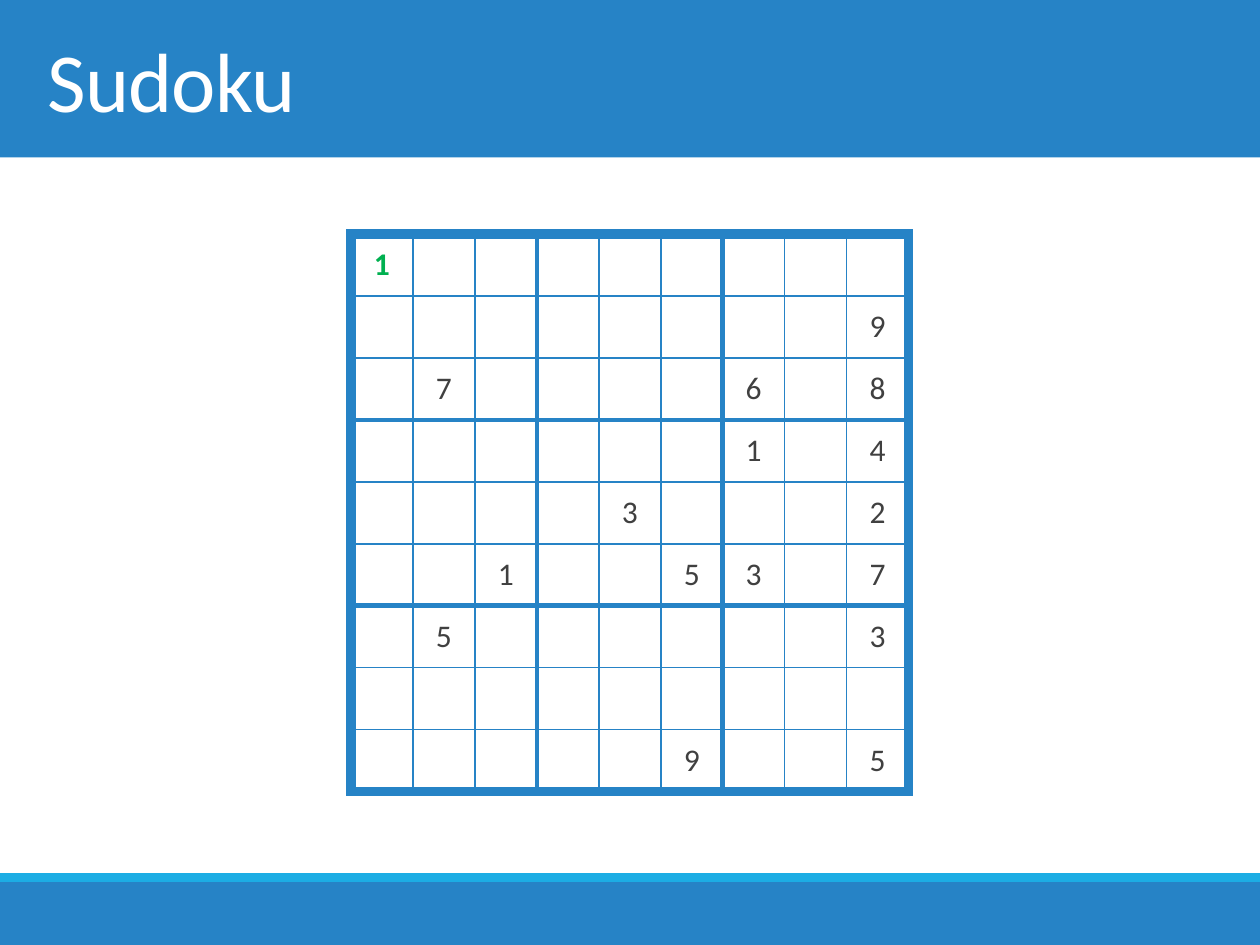
from dataclasses import dataclass

from lxml.etree import SubElement
from pptx import Presentation
from pptx.dml.color import RGBColor
from pptx.enum.shapes import MSO_SHAPE as Shape
from pptx.enum.text import MSO_ANCHOR as Anchor, PP_ALIGN as Align
from pptx.oxml.ns import qn
from pptx.util import Pt

BLUE = RGBColor(0x26, 0x83, 0xC6)
CYAN = RGBColor(0x1C, 0xAD, 0xE4)
WHITE = RGBColor(0xFF, 0xFF, 0xFF)
GREEN = RGBColor(0x00, 0xB0, 0x50)
GRAY = RGBColor(0x40, 0x40, 0x40)
FONT = "Calibri"

SLIDE_W, SLIDE_H = 720, 540
SIZE, BOX = 9, 3
CELL = 35.43
GRID = SIZE * CELL
GRID_TOP = 133.7
THIN, MEDIUM, THICK = 1, 3, 6


@dataclass(frozen=True)
class Band:
    top: float
    height: float
    color: RGBColor


BANDS = [Band(0, 90, BLUE), Band(504, 36, BLUE), Band(499, 5, CYAN)]

PUZZLE = [
    "1........",
    "........9",
    ".7....6.8",
    "......1.4",
    "....3...2",
    "..1..53.7",
    ".5......3",
    ".........",
    ".....9..5",
]


def add_band(slide, band: Band) -> None:
    sp = slide.shapes.add_shape(
        Shape.RECTANGLE, 0, Pt(band.top), Pt(SLIDE_W), Pt(band.height))
    sp.shadow.inherit = False
    sp.fill.solid()
    sp.fill.fore_color.rgb = band.color
    sp.line.fill.background()


def add_run(p, text: str, size: float, color: RGBColor, bold: bool = False):
    r = p.add_run()
    r.text = text
    r.font.name = FONT
    r.font.size = Pt(size)
    r.font.bold = bold
    r.font.color.rgb = color
    return r


def add_title(slide, text: str) -> None:
    sp = slide.shapes.add_textbox(Pt(20.16), 0, Pt(680), Pt(90))
    tf = sp.text_frame
    tf.word_wrap = True
    tf.vertical_anchor = Anchor.MIDDLE
    r = add_run(tf.paragraphs[0], text, 48, WHITE)
    r.font._element.set("spc", "-50")


def rule_width(index: int) -> int:
    if index in (0, SIZE):
        return THICK
    return THIN if index % BOX else MEDIUM


def set_borders(cell, row: int, col: int) -> None:
    tcPr = cell._tc.get_or_add_tcPr()
    sides = {"L": col, "R": col + 1, "T": row, "B": row + 1}
    for side, index in sides.items():
        ln = SubElement(tcPr, qn(f"a:ln{side}"), w=str(Pt(rule_width(index))))
        fill = SubElement(ln, qn("a:solidFill"))
        SubElement(fill, qn("a:srgbClr"), val=str(BLUE))


def add_puzzle(slide) -> None:
    left = (SLIDE_W - GRID) / 2
    frame = slide.shapes.add_table(
        SIZE, SIZE, Pt(left), Pt(GRID_TOP), Pt(GRID), Pt(GRID))
    table = frame.table
    table.first_row = False
    table.horz_banding = False
    for line in (*table.columns,):
        line.width = Pt(CELL)
    for line in table.rows:
        line.height = Pt(CELL)
    for row, digits in enumerate(PUZZLE):
        for col, digit in enumerate(digits):
            cell = table.cell(row, col)
            cell.vertical_anchor = Anchor.MIDDLE
            set_borders(cell, row, col)
            cell.fill.background()
            if digit != ".":
                p = cell.text_frame.paragraphs[0]
                p.alignment = Align.CENTER
                first = row == col == 0
                add_run(p, digit, 18, GREEN if first else GRAY, first)


def main() -> None:
    prs = Presentation()
    prs.slide_width, prs.slide_height = Pt(SLIDE_W), Pt(SLIDE_H)
    s = prs.slides.add_slide(prs.slide_layouts[6])
    for band in BANDS:
        add_band(s, band)
    add_title(s, "Sudoku")
    add_puzzle(s)
    prs.save("out.pptx")


main()
